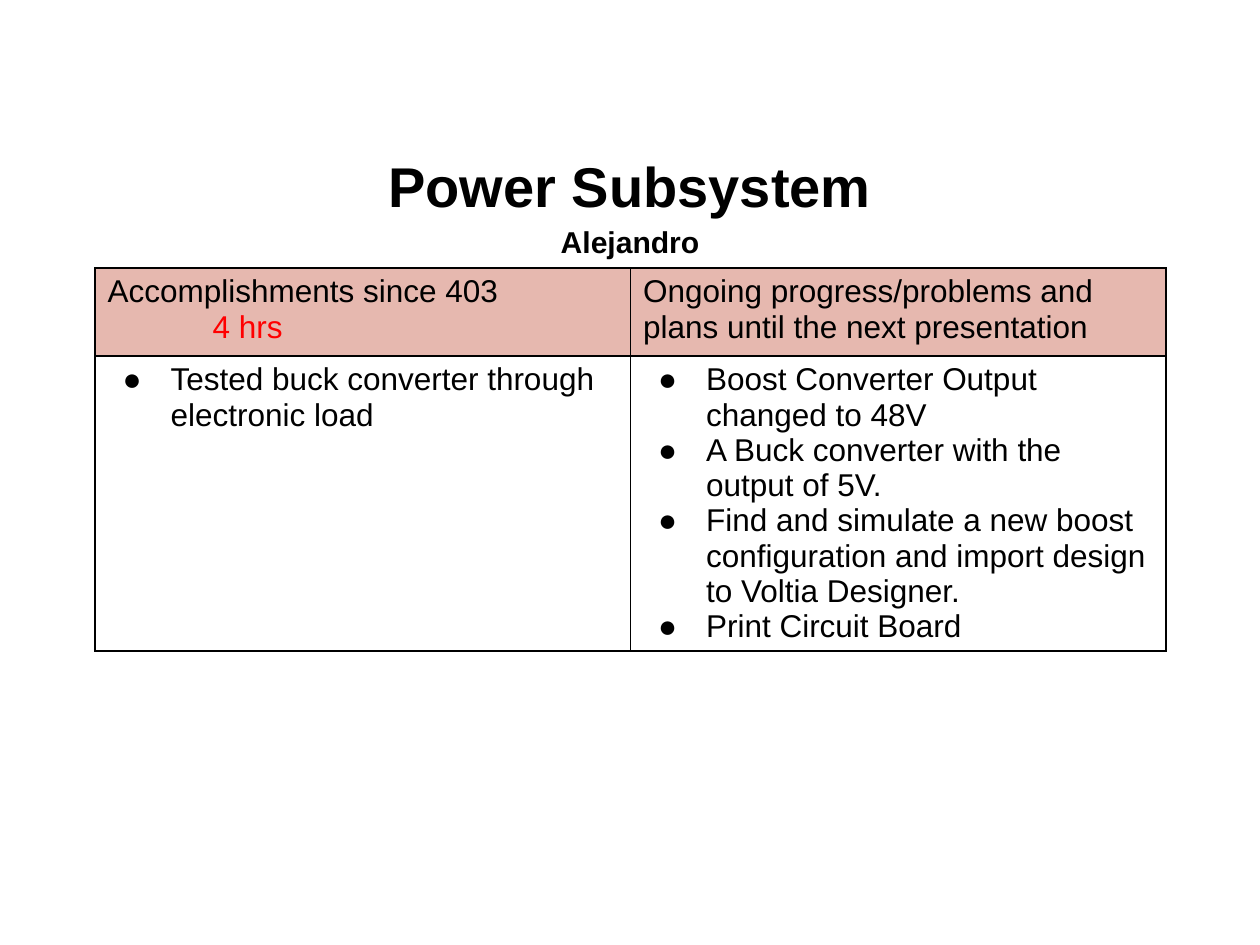
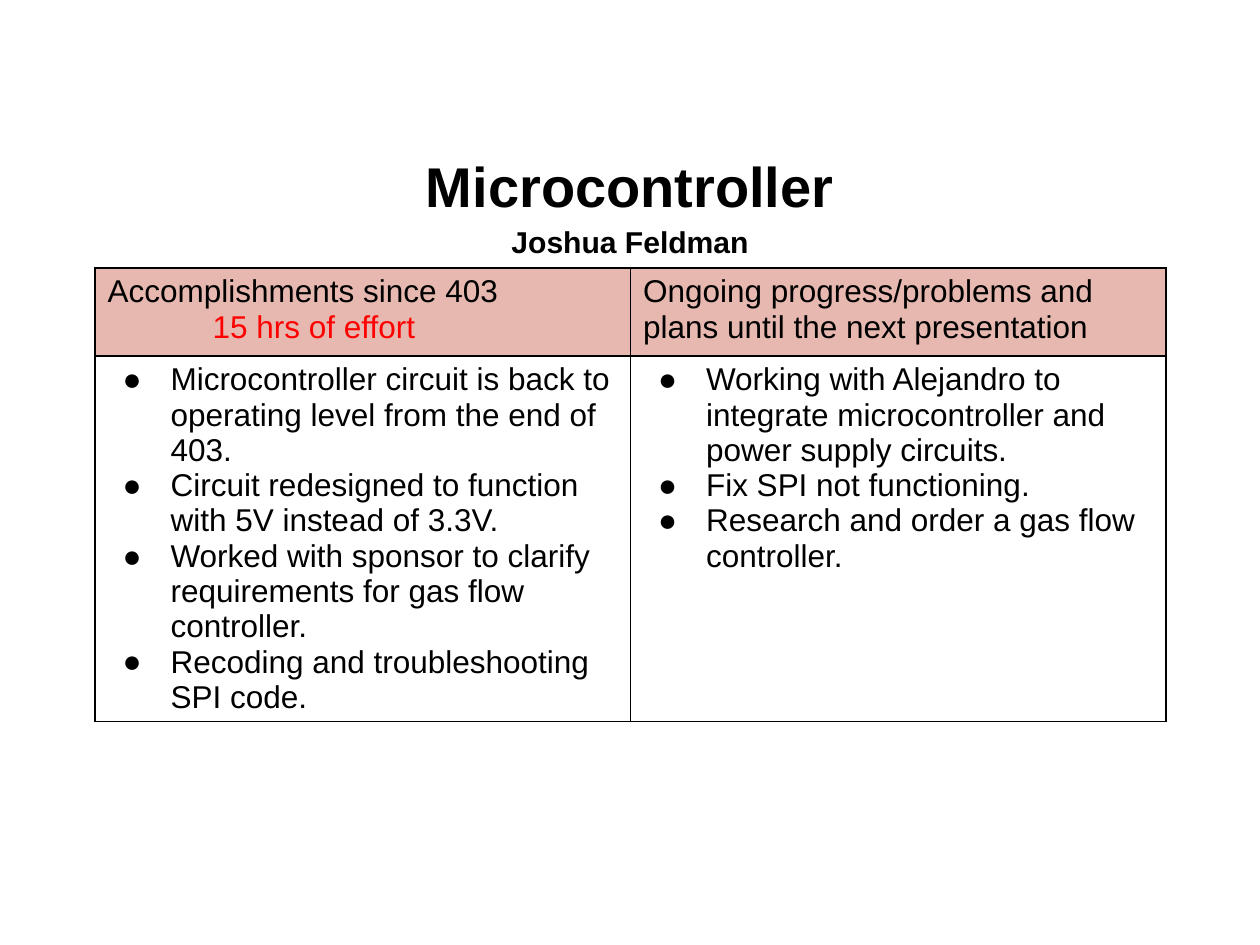
from lxml import etree
from pptx import Presentation, util as u
from pptx.dml.color import RGBColor
from pptx.enum import text
from pptx.oxml import ns

SCALE = u.Inches(1) / 126
FONT = "Arial"
COLORS = {"ink": "000000", "hours": "FF0000", "header": "E6B8AF", "page": "FFFFFF"}
DONE_HEADING = "Accomplishments since 403"
PLANS_HEADING = "Ongoing progress/problems and plans until the next presentation"

REPORTS = [
    {
        "subsystem": "Power Subsystem",
        "owner": "Alejandro",
        "hours": "4 hrs",
        "done": ["Tested buck converter through electronic load"],
        "plans": [
            "Boost Converter Output changed to 48V",
            "A Buck converter with the output of 5V.",
            "Find and simulate a new boost configuration and import design to Voltia Designer.",
            "Print Circuit Board",
        ],
    },
    {
        "subsystem": "Microcontroller",
        "owner": "Joshua Feldman",
        "hours": "15 hrs of effort",
        "done": [
            "Microcontroller circuit is back to operating level from the end of 403.",
            "Circuit redesigned to function with 5V instead of 3.3V.",
            "Worked with sponsor to clarify requirements for gas flow controller.",
            "Recoding and troubleshooting SPI code.",
        ],
        "plans": [
            "Working with Alejandro to integrate microcontroller and power supply circuits.",
            "Fix SPI not functioning.",
            "Research and order a gas flow controller.",
        ],
    },
]


def px(length):
    return u.Emu(round(length * SCALE))


def rgb(name):
    return RGBColor.from_string(COLORS[name])


def add_child(parent, tag, **attributes):
    return etree.SubElement(parent, ns.qn(tag), attributes)


def style(para, size, color="ink", bold=False):
    para.font.name = FONT
    para.font.size = u.Pt(size)
    para.font.bold = bold
    para.font.color.rgb = rgb(color)


def add_paragraphs(frame, lines):
    frame.text = "\n".join(lines)
    return frame.paragraphs


def indent(para, left, first=0):
    properties = para._p.get_or_add_pPr()
    properties.set("marL", str(px(left)))
    properties.set("indent", str(px(first)))
    return properties


def add_title(page, subsystem, owner):
    title = page.shapes.title
    title.left, title.top, title.width, title.height = map(px, (63, 145, 1134, 111))
    frame = title.text_frame
    frame.auto_size = text.MSO_AUTO_SIZE.NONE
    frame.vertical_anchor = text.MSO_ANCHOR.MIDDLE
    for para, size in zip(add_paragraphs(frame, [subsystem, owner]), (32, 17.2)):
        para.alignment = text.PP_ALIGN.CENTER
        para.line_spacing = 1.15
        style(para, size, bold=True)


def frame_cell(cell):
    properties = cell._tc.get_or_add_tcPr()
    for side in ("a:lnL", "a:lnR", "a:lnT", "a:lnB"):
        line = add_child(properties, side, w=str(u.Pt(1)))
        add_child(add_child(line, "a:solidFill"), "a:srgbClr", val=COLORS["ink"])


def fill_header(cell, heading, hours=None):
    cell.fill.solid()
    cell.fill.fore_color.rgb = rgb("header")
    paras = add_paragraphs(cell.text_frame, [heading, hours] if hours else [heading])
    style(paras[0], 18)
    if hours:
        indent(paras[1], 105)
        style(paras[1], 18, "hours")


def fill_list(cell, items):
    cell.fill.background()
    for para in add_paragraphs(cell.text_frame, items):
        properties = indent(para, 63, -48)
        add_child(add_child(properties, "a:buClr"), "a:srgbClr", val=COLORS["ink"])
        add_child(properties, "a:buFont", typeface=FONT)
        add_child(properties, "a:buChar", char="●")
        style(para, 18)


def add_report_table(page, report):
    table = page.shapes.add_table(2, 2, px(95), px(268), px(1071), px(327)).table
    table.first_row = table.horz_banding = False
    for row, height in zip(table.rows, (88, 239)):
        row.height = px(height)
    for cell in table.iter_cells():
        frame_cell(cell)
    fill_header(table.cell(0, 0), DONE_HEADING, report["hours"])
    fill_header(table.cell(0, 1), PLANS_HEADING)
    fill_list(table.cell(1, 0), report["done"])
    fill_list(table.cell(1, 1), report["plans"])


def add_report(deck, report):
    page = deck.slides.add_slide(deck.slide_layouts[5])
    page.background.fill.solid()
    page.background.fill.fore_color.rgb = rgb("page")
    add_title(page, report["subsystem"], report["owner"])
    add_report_table(page, report)


def main():
    deck = Presentation()
    deck.slide_width, deck.slide_height = px(1260), px(945)
    for report in REPORTS:
        add_report(deck, report)
    deck.save("out.pptx")


if __name__ == "__main__":
    main()
